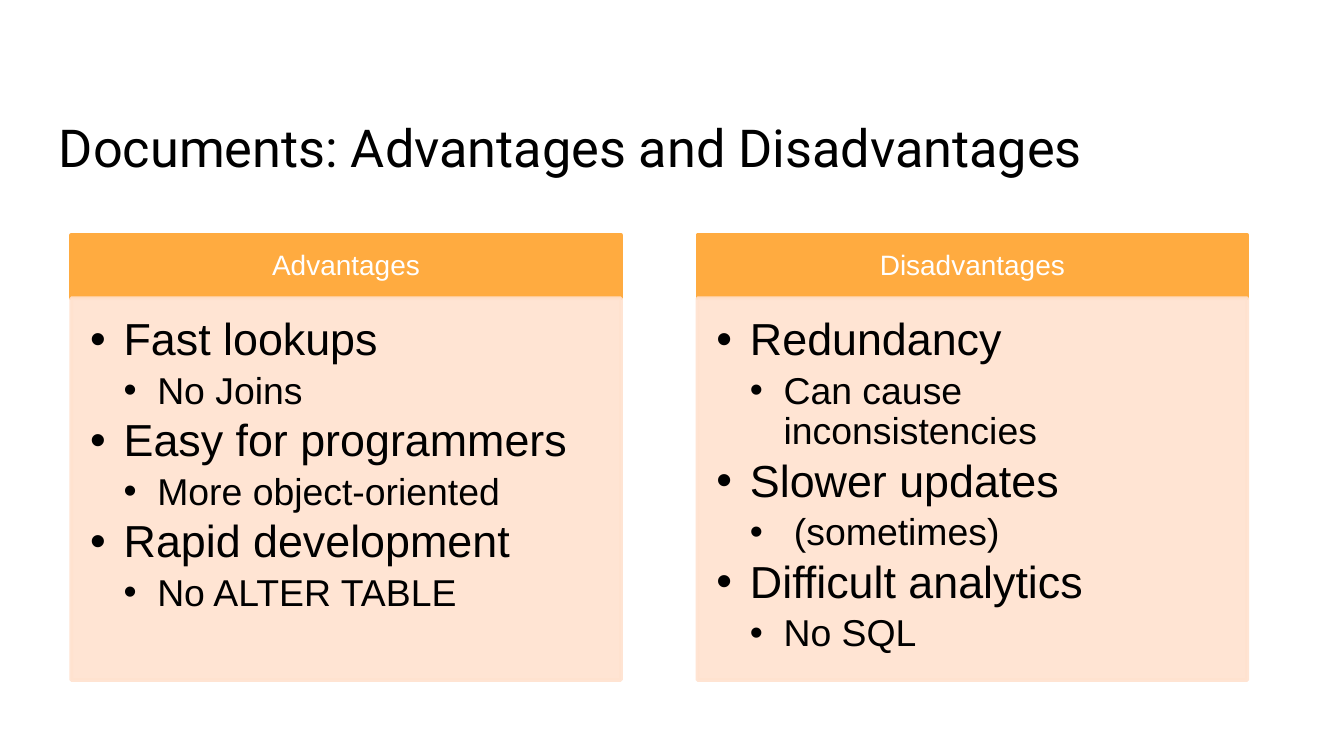
"""Build a two-column slide on the advantages and disadvantages of documents."""
from lxml.etree import SubElement
from pptx import Presentation
from pptx.dml.color import RGBColor
from pptx.enum.shapes import MSO_SHAPE
from pptx.enum.text import MSO_ANCHOR, PP_ALIGN
from pptx.oxml.ns import qn
from pptx.util import Inches, Pt

TITLE = "Documents: Advantages and Disadvantages"
COLUMNS = [
    ("Advantages", [
        ("Fast lookups", "No Joins"),
        ("Easy for programmers", "More object-oriented"),
        ("Rapid development", "No ALTER TABLE"),
    ]),
    ("Disadvantages", [
        ("Redundancy", "Can cause inconsistencies"),
        ("Slower updates", " (sometimes)"),
        ("Difficult analytics", "No SQL"),
    ]),
]
ORANGE, PEACH, BLACK, WHITE = "FFAB40", "FFE2CF", "000000", "FFFFFF"
SLIDE_W = 10
SLIDE_H = SLIDE_W * 9 / 16
LEFT, TOP, WIDTH, PITCH = 0.53, 1.75, 4.09, 4.66
HEAD_H, BODY_H = 0.47, 2.84
SIZES = (24, 20)
INDENT = 0.25


def rgb(value):
    return RGBColor.from_string(value)


def set_frame(tf, insets, anchor):
    tf.word_wrap = True
    tf.vertical_anchor = anchor
    tf.margin_left, tf.margin_top, tf.margin_right, tf.margin_bottom = map(Inches, insets)


def write(p, text, size, color, font="Arial"):
    p.text = text
    f = p.runs[0].font
    f.name, f.size = font, Pt(size)
    f.color.rgb = rgb(color)


def space_lines(p, after):
    p.line_spacing = 0.9
    spacing = SubElement(p._p.get_or_add_pPr(), qn("a:spcAft"))
    SubElement(spacing, qn("a:spcPct"), val=str(after * 1000))


def add_bullet(p, level):
    pPr = p._p.get_or_add_pPr()
    pPr.set("marL", str(Inches(INDENT * level)))
    pPr.set("indent", str(-Inches(INDENT)))
    SubElement(SubElement(pPr, qn("a:buClr")), qn("a:srgbClr"), val=BLACK)
    SubElement(pPr, qn("a:buFont"), typeface="Arial")
    SubElement(pPr, qn("a:buChar"), char="•")


def add_box(s, x, y, h, color, opacity=100):
    sp = s.shapes.add_shape(MSO_SHAPE.RECTANGLE, Inches(x), Inches(y), Inches(WIDTH), Inches(h))
    sp.shadow.inherit = False
    sp.line.width = Pt(2)
    for fill in (sp.fill, sp.line.fill):
        fill.solid()
        fill.fore_color.rgb = rgb(color)
    if opacity < 100:
        for clr in sp._element.spPr.iter(qn("a:srgbClr")):
            SubElement(clr, qn("a:alpha"), val=str(opacity * 1000))
    return sp.text_frame


def add_column(s, x, heading, points):
    tf = add_box(s, x, TOP, HEAD_H, ORANGE)
    set_frame(tf, (0.12, 0.07, 0.12, 0.07), MSO_ANCHOR.MIDDLE)
    p = tf.paragraphs[0]
    write(p, heading, 15, WHITE)
    p.alignment = PP_ALIGN.CENTER
    space_lines(p, 35)

    tf = add_box(s, x, TOP + HEAD_H, BODY_H, PEACH, 90)
    set_frame(tf, (0.14, 0.14, 0.19, 0.21), MSO_ANCHOR.TOP)
    lines = [(text, level) for point in points for level, text in enumerate(point, 1)]
    for i, (text, level) in enumerate(lines):
        p = tf.add_paragraph() if i else tf.paragraphs[0]
        write(p, text, SIZES[level - 1], BLACK)
        p.alignment = PP_ALIGN.LEFT
        p.level = level
        space_lines(p, 15)
        add_bullet(p, level)


def main():
    prs = Presentation()
    prs.slide_width, prs.slide_height = Inches(SLIDE_W), Inches(SLIDE_H)
    s = prs.slides.add_slide(prs.slide_layouts[6])
    tf = s.shapes.add_textbox(Inches(0.34), Inches(0.76), Inches(9.32), Inches(0.63)).text_frame
    set_frame(tf, (0.1, 0.1, 0.1, 0.1), MSO_ANCHOR.TOP)
    write(tf.paragraphs[0], TITLE, 28, BLACK, "Roboto")
    for i, (heading, points) in enumerate(COLUMNS):
        add_column(s, LEFT + i * PITCH, heading, points)
    prs.save("out.pptx")


if __name__ == "__main__":
    main()
